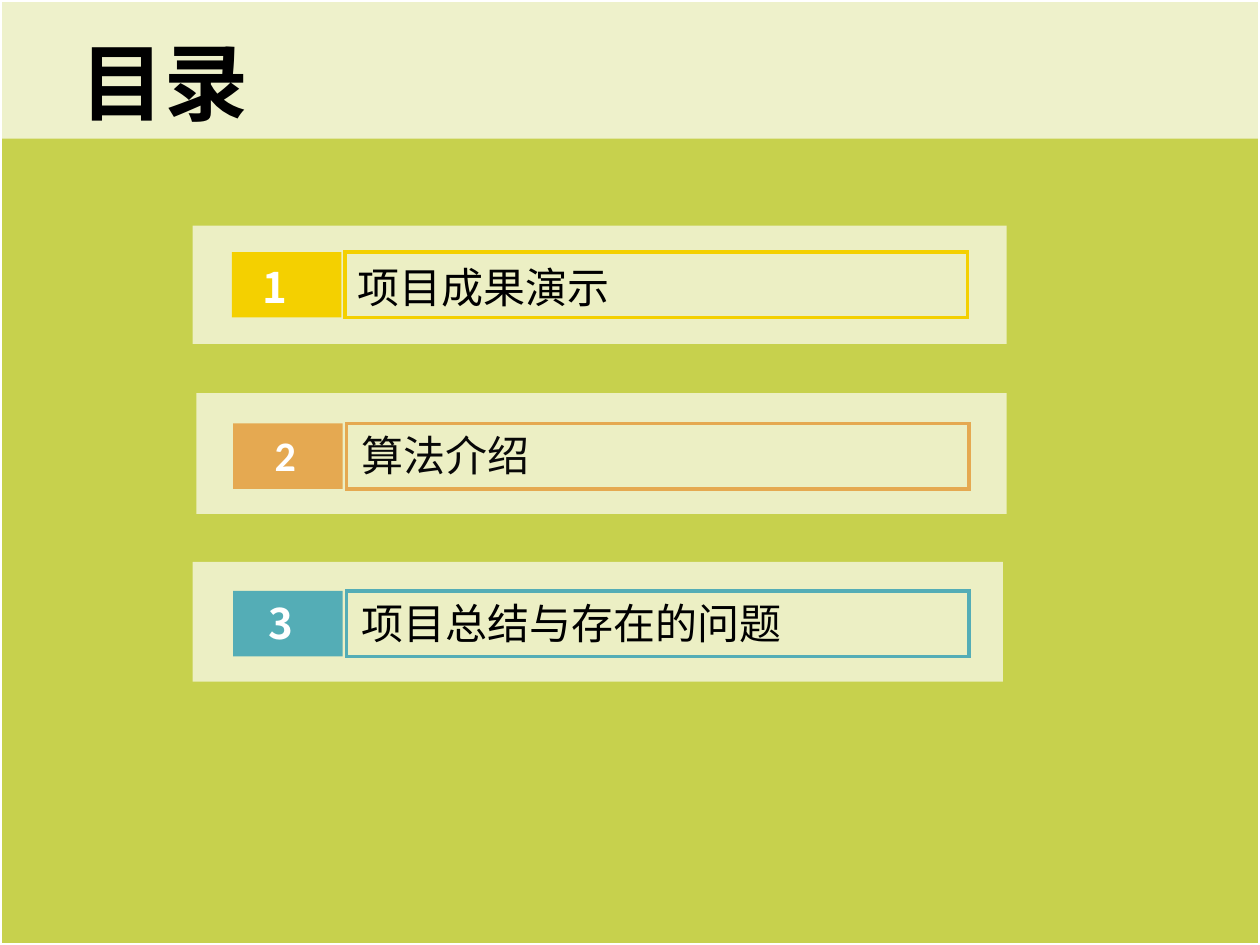
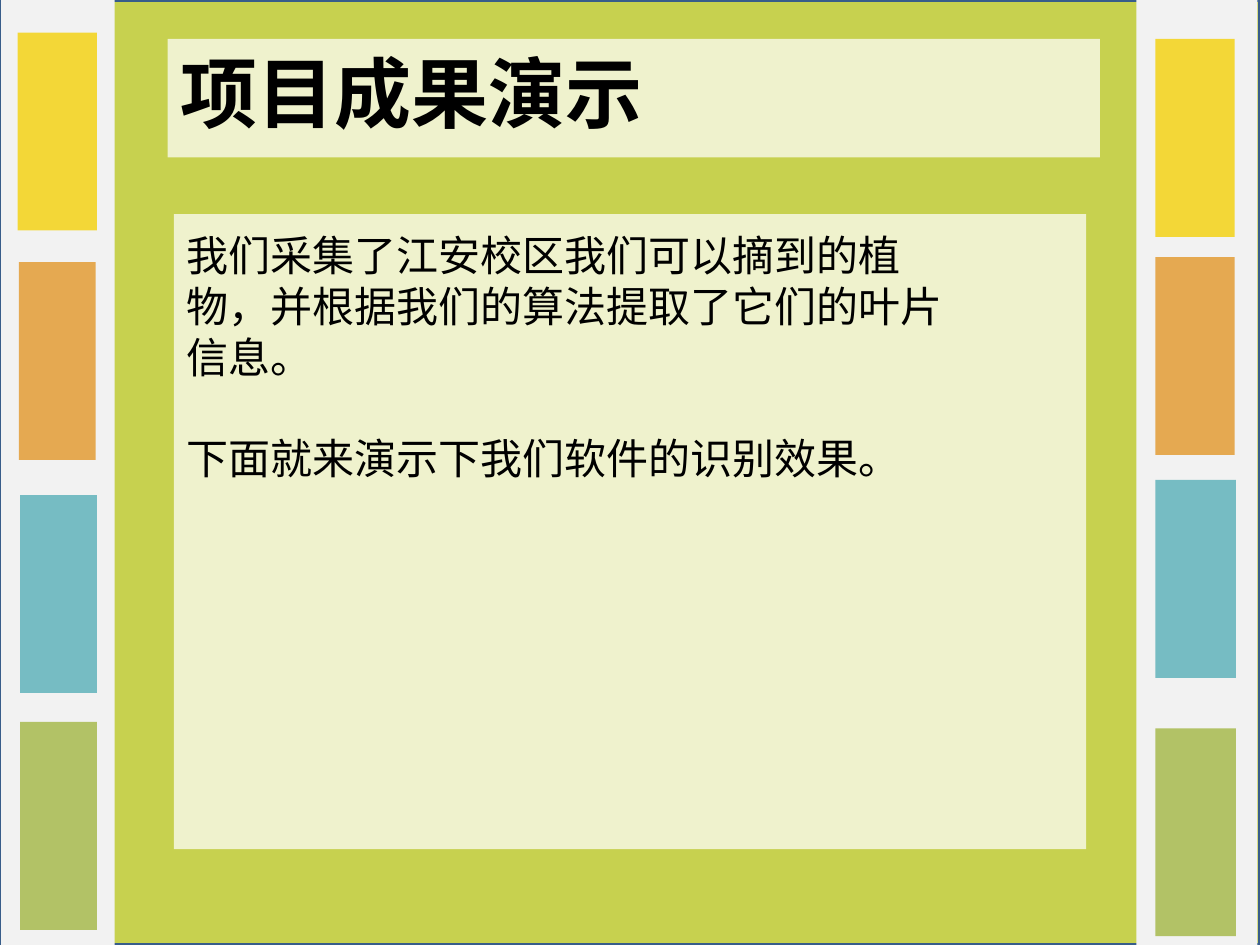
from dataclasses import dataclass

from lxml import etree
from pptx import Presentation
from pptx.dml.color import RGBColor
from pptx.enum.shapes import MSO_SHAPE
from pptx.enum.text import MSO_ANCHOR, MSO_AUTO_SIZE, PP_ALIGN
from pptx.oxml.ns import qn
from pptx.util import Inches, Pt

RECTANGLE = MSO_SHAPE.RECTANGLE
TOP = MSO_ANCHOR.TOP
LEFT = PP_ALIGN.LEFT
NO_AUTOFIT = MSO_AUTO_SIZE.NONE
TITLE_AND_CONTENT, TITLE_ONLY = 1, 5


@dataclass(frozen=True)
class Theme:
    lime: str = "C1CC3A"
    white: str = "FFFFFF"
    black: str = "000000"
    near_black: str = "080808"
    rail: str = "F2F2F2"
    navy: str = "385D8A"
    yellow: str = "F4D000"
    orange: str = "E5A951"
    teal: str = "54ADB6"
    olive: str = "A0B43C"
    font: str = "Noto Sans CJK SC"
    body_font: str = "Noto Sans CJK JP"
    agenda_title_size: int = 48
    title_size: int = 44
    text_size: int = 24
    line_width: int = 2
    line_factor: float = 1.2


THEME = Theme()


def write_text(shape, *texts, size=THEME.text_size, color=THEME.black, bold=False,
               latin=THEME.font, east_asian=THEME.font, gap=0, indent=0.1):
    """Fill a shape with left-aligned paragraphs; gap separates them in points."""
    frame = shape.text_frame
    frame.word_wrap = True
    frame.auto_size = NO_AUTOFIT
    frame.vertical_anchor = TOP
    frame.margin_left, frame.margin_right = Inches(indent), Inches(0.1)
    frame.margin_top = frame.margin_bottom = Inches(0.05)
    for index, text in enumerate(texts):
        paragraph = frame.add_paragraph() if index else frame.paragraphs[0]
        properties = paragraph._p.get_or_add_pPr()
        for name in ("marL", "indent", "hangingPunct"):
            properties.set(name, "0")
        etree.SubElement(properties, qn("a:buNone"))
        paragraph.alignment = LEFT
        paragraph.line_spacing = Pt(round(size * THEME.line_factor))
        paragraph.space_before = Pt(gap if index else 0)
        paragraph.space_after = Pt(0)
        run = paragraph.add_run()
        run.text = text
        run.font.name = latin
        run.font.size = Pt(size)
        run.font.bold = bold
        run.font.color.rgb = RGBColor.from_string(color)
        etree.SubElement(run._r.get_or_add_rPr(), qn("a:ea"), typeface=east_asian)


class Deck:
    def __init__(self, theme):
        self.theme = theme
        self.presentation = Presentation()
        self.presentation.slide_width = Inches(10)
        self.presentation.slide_height = Inches(7.5)
        self.slide = None

    def start_slide(self, layout, opacity, line):
        layouts = self.presentation.slide_layouts
        self.slide = self.presentation.slides.add_slide(layouts[layout])
        self.box(0, 0, 10, 7.5, fill=self.theme.lime, opacity=opacity, line=line)

    def box(self, left, top, width, height, fill=None, opacity=100, line=None):
        shape = self.slide.shapes.add_shape(
            RECTANGLE, Inches(left), Inches(top), Inches(width), Inches(height))
        shape.shadow.inherit = False
        if fill:
            shape.fill.solid()
            shape.fill.fore_color.rgb = RGBColor.from_string(fill)
            if opacity < 100:
                color = shape.fill._xPr.find(".//" + qn("a:srgbClr"))
                etree.SubElement(color, qn("a:alpha"), val=str(opacity * 1000))
        else:
            shape.fill.background()
        if line:
            shape.line.color.rgb = RGBColor.from_string(line)
            shape.line.width = Pt(self.theme.line_width)
            # Square corners
            etree.SubElement(shape.line._get_or_add_ln(), qn("a:miter"), lim="800000")
        else:
            shape.line.fill.background()

    def text(self, left, top, width, height, *texts, **text_format):
        shape = self.slide.shapes.add_textbox(
            Inches(left), Inches(top), Inches(width), Inches(height))
        write_text(shape, *texts, **text_format)

    def placeholder(self, index, left, top, width, height, *texts, **text_format):
        shape = self.slide.placeholders[index]
        shape.left, shape.top = Inches(left), Inches(top)
        shape.width, shape.height = Inches(width), Inches(height)
        # Bring the placeholder in front of the panels drawn so far
        shape.element.getparent().append(shape.element)
        write_text(shape, *texts, **text_format)

    def agenda_item(self, left, top, color, number, label, number_format,
                    label_format, label_left=2.77, text_offset=0):
        self.box(left, top, 0.87, 0.52, fill=color)
        self.box(left + 0.9, top, 4.94, 0.52, line=color)
        text_top = top + text_offset
        self.text(left, text_top, 0.87, 0.5, number, color=self.theme.white,
                  bold=True, **number_format)
        self.text(label_left, text_top, 4.9, 0.5, label, **label_format)

    def color_rail(self, left, width, blocks):
        self.box(left, 0, width, 7.5, fill=self.theme.rail)
        theme = self.theme
        styles = ((theme.yellow, 77, 1.57), (theme.orange, 100, 1.57),
                  (theme.teal, 78, 1.57), (theme.olive, 77, 1.65))
        for (block_left, top, block_width), (color, opacity, height) in zip(blocks, styles):
            self.box(block_left, top, block_width, height, fill=color, opacity=opacity)


def build_agenda(deck):
    theme = deck.theme
    deck.start_slide(TITLE_ONLY, opacity=90, line=theme.white)

    # Title band and item panels
    deck.box(0, 0, 10, 1.1, fill=theme.white, opacity=71)
    for left, top, width, height in ((1.53, 1.79, 6.46, 0.94), (1.56, 3.12, 6.43, 0.96),
                                     (1.53, 4.46, 6.43, 0.95)):
        deck.box(left, top, width, height, fill=theme.white, opacity=67)
    deck.placeholder(0, 0.54, 0.19, 8.51, 0.9, "目录",
                     size=theme.agenda_title_size, bold=True)

    # Numbered items
    deck.agenda_item(1.84, 2, theme.yellow, "1", "项目成果演示",
                     {"indent": 0.24}, {"latin": "Calibri"},
                     label_left=2.74, text_offset=0.02)
    deck.agenda_item(1.85, 3.36, theme.orange, "2", "算法介绍",
                     {"indent": 0.33, "latin": "Calibri"}, {"color": theme.near_black})
    deck.agenda_item(1.85, 4.69, theme.teal, "3", "项目总结与存在的问题",
                     {"indent": 0.28}, {"latin": "Arial"})


def build_results(deck):
    theme = deck.theme
    deck.start_slide(TITLE_AND_CONTENT, opacity=89, line=theme.navy)

    # Colour rails on both sides
    deck.color_rail(0.01, 0.9, ((0.14, 0.26, 0.63), (0.15, 2.08, 0.61),
                                (0.16, 3.93, 0.61), (0.16, 5.73, 0.61)))
    deck.color_rail(9.02, 0.96, ((9.17, 0.31, 0.63), (9.17, 2.04, 0.63),
                                 (9.17, 3.81, 0.64), (9.17, 5.78, 0.64)))

    # Title and body, each on a pale panel
    deck.box(1.33, 0.31, 7.4, 0.94, fill=theme.white, opacity=72)
    deck.placeholder(0, 1.33, 0.31, 6.5, 0.84, "项目成果演示",
                     size=theme.title_size, bold=True)
    deck.box(1.38, 1.7, 7.24, 5.04, fill=theme.white, opacity=72)
    deck.placeholder(1, 1.38, 1.77, 6.43, 2.1,
                     "我们采集了江安校区我们可以摘到的植物，并根据我们的算法提取了它们的叶片信息。",
                     "下面就来演示下我们软件的识别效果。",
                     latin=theme.body_font, east_asian=theme.body_font, gap=29)


def main():
    deck = Deck(THEME)
    build_agenda(deck)
    build_results(deck)
    deck.presentation.save("out.pptx")


if __name__ == "__main__":
    main()
